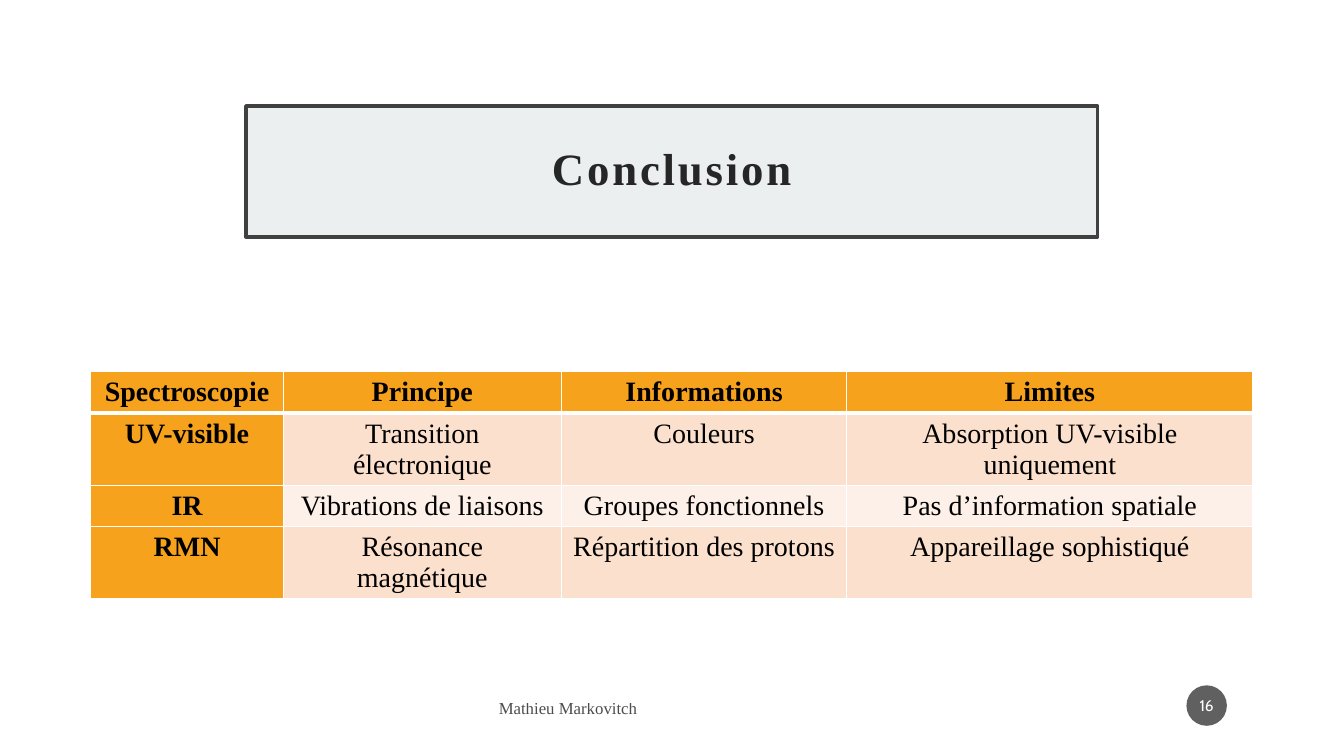
from dataclasses import dataclass

import lxml.etree
import pptx
import pptx.dml.color
import pptx.enum.shapes
import pptx.enum.text
import pptx.oxml
import pptx.oxml.ns
import pptx.util

Cm = pptx.util.Cm
Pt = pptx.util.Pt
qn = pptx.oxml.ns.qn
ALIGN = pptx.enum.text.PP_ALIGN
MIDDLE = pptx.enum.text.MSO_ANCHOR.MIDDLE
SHAPE = pptx.enum.shapes.MSO_SHAPE


@dataclass(frozen=True)
class Theme:
    serif: str = "Times New Roman"
    sans: str = "Cabin"
    title_fill: str = "EBEFF0"
    title_line: str = "404040"
    title_text: str = "262626"
    accent: str = "F6A21D"
    bands: tuple = ("FBE0CD", "FDF0E8")
    badge: str = "1D1D1D"
    black: str = "000000"
    white: str = "FFFFFF"
    title_size: int = 32
    table_size: int = 20
    footer_size: int = 12
    badge_size: int = 11
    footer_alpha: int = 70


THEME = Theme()
ROWS = [
    ["Spectroscopie", "Principe", "Informations", "Limites"],
    ["UV-visible", "Transition électronique", "Couleurs", "Absorption UV-visible uniquement"],
    ["IR", "Vibrations de liaisons", "Groupes fonctionnels", "Pas d’information spatiale"],
    ["RMN", "Résonance magnétique", "Répartition des protons", "Appareillage sophistiqué"],
]
COLUMN_WIDTHS = [4.85, 7.01, 7.19, 10.24]
ROW_HEIGHT = 1.04


def rgb(color):
    return pptx.dml.color.RGBColor.from_string(color)


def paint(fill, color, alpha=100):
    fill.solid()
    fill.fore_color.rgb = rgb(color)
    if alpha < 100:
        clr = fill._xPr.find(qn("a:solidFill"))[0]
        lxml.etree.SubElement(clr, qn("a:alpha"), val=str(alpha * 1000))


def add_text(tf, text, size, color, font=THEME.serif, bold=False, align=ALIGN.CENTER, alpha=100):
    p = tf.paragraphs[0]
    p.alignment = align
    r = p.add_run()
    r.text = text
    r.font.size = Pt(size)
    r.font.name = font
    r.font.bold = bold
    paint(r.font.fill, color, alpha)
    return p, r


def set_insets(tf, horizontal, vertical):
    tf.margin_left = tf.margin_right = Cm(horizontal)
    tf.margin_top = tf.margin_bottom = Cm(vertical)


def add_title(s, x, y, w, h):
    sp = s.shapes.add_shape(SHAPE.RECTANGLE, Cm(x), Cm(y), Cm(w), Cm(h))
    sp.shadow.inherit = False
    paint(sp.fill, THEME.title_fill)
    sp.line.color.rgb = rgb(THEME.title_line)
    sp.line.width = Pt(2.5)
    tf = sp.text_frame
    tf.word_wrap = True
    tf.vertical_anchor = MIDDLE
    set_insets(tf, 0.5, 0.5)
    p, r = add_text(tf, "Conclusion", THEME.title_size, THEME.title_text, bold=True)
    p.line_spacing = 0.9
    r.font._element.set("spc", "200")


def set_borders(cell, top, bottom):
    tcPr = cell._tc.get_or_add_tcPr()
    widths = {"a:lnL": 1, "a:lnR": 1, "a:lnT": top, "a:lnB": bottom}
    for i, (tag, width) in enumerate(widths.items()):
        ln = lxml.etree.Element(qn(tag), w=str(Pt(width)))
        fill = lxml.etree.SubElement(ln, qn("a:solidFill"))
        lxml.etree.SubElement(fill, qn("a:srgbClr"), val=THEME.white)
        tcPr.insert(i, ln)


def add_comparison(s, x, y):
    table = s.shapes.add_table(
        len(ROWS), len(COLUMN_WIDTHS), Cm(x), Cm(y),
        Cm(sum(COLUMN_WIDTHS)), Cm(ROW_HEIGHT * len(ROWS)),
    ).table
    table.first_col = True
    for column, width in zip(table.columns, COLUMN_WIDTHS):
        column.width = Cm(width)
    for i, texts in enumerate(ROWS):
        table.rows[i].height = Cm(ROW_HEIGHT)
        for j, text in enumerate(texts):
            cell = table.cell(i, j)
            header = i == 0 or j == 0
            paint(cell.fill, THEME.accent if header else THEME.bands[(i - 1) % 2])
            set_borders(cell, 3 if i == 1 else 1, 3 if i == 0 else 1)
            add_text(cell.text_frame, text, THEME.table_size, THEME.black, bold=header)


def add_author(s, x, y, w, h):
    tf = s.shapes.add_textbox(Cm(x), Cm(y), Cm(w), Cm(h)).text_frame
    tf.word_wrap = True
    tf.vertical_anchor = MIDDLE
    add_text(tf, "Mathieu Markovitch", THEME.footer_size, THEME.black,
             align=ALIGN.LEFT, alpha=THEME.footer_alpha)


def add_page_badge(s, x, y, diameter):
    sp = s.shapes.add_shape(SHAPE.OVAL, Cm(x), Cm(y), Cm(diameter), Cm(diameter))
    sp.shadow.inherit = False
    paint(sp.fill, THEME.badge, THEME.footer_alpha)
    sp.line.fill.background()
    tf = sp.text_frame
    tf.word_wrap = False
    tf.vertical_anchor = MIDDLE
    set_insets(tf, 0.05, 0.13)
    add_text(tf, "16", THEME.badge_size, THEME.white, font=THEME.sans)


def main():
    prs = pptx.Presentation()
    prs.slide_width = Cm(33.87)
    prs.slide_height = Cm(19.05)
    s = prs.slides.add_slide(prs.slide_layouts[6])
    add_title(s, 6.2, 2.67, 21.46, 3.3)
    add_comparison(s, 2.29, 9.37)
    add_author(s, 12.32, 17.4, 4.37, 0.89)
    add_page_badge(s, 29.9, 17.27, 1.02)
    prs.save("out.pptx")


if __name__ == "__main__":
    main()
